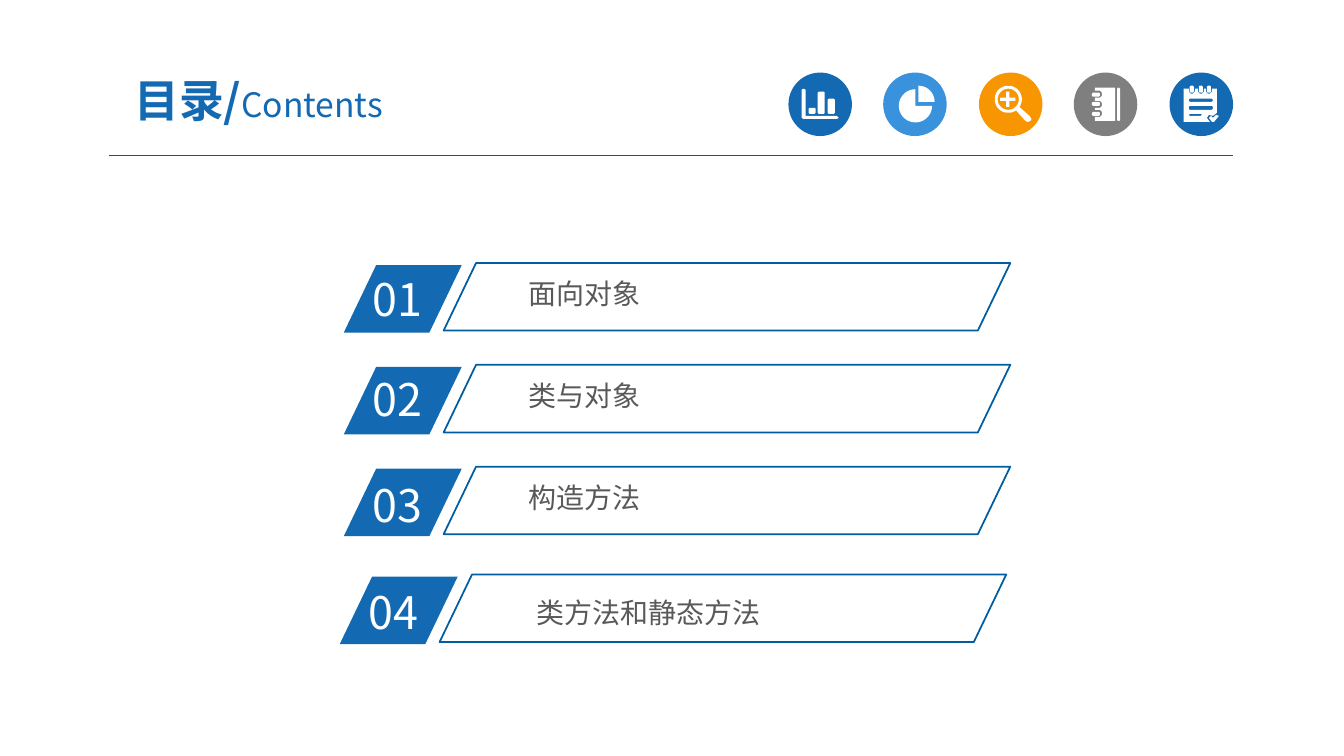
from math import cos, radians, sin

from lxml.etree import SubElement
from pptx import Presentation
from pptx.dml.color import RGBColor
from pptx.enum.shapes import MSO_CONNECTOR as Wire, MSO_SHAPE as Form
from pptx.enum.text import MSO_ANCHOR as Anchor, MSO_AUTO_SIZE as Fit, PP_ALIGN as Align
from pptx.oxml.ns import qn
from pptx.util import Pt

PX = 9144  # 100 px to the inch
FINE = 10  # outline steps in one px
FONT = "Noto Sans CJK SC"
HUES = {"blue": "1369B2", "sky": "3992DB", "gold": "F79600", "grey": "7F7F7F",
        "white": "FFFFFF", "rule": "005B9E", "edge": "005DA2", "text": "595959"}
SLANT = 0.48


def hue(name):
    return RGBColor.from_string(HUES[name])


def arc(x, y, r, start, end):
    """Points round a centre, in degrees clockwise from the right."""
    return [(x + r * cos(radians(a)), y + r * sin(radians(a)))
            for a in range(start, end + 1, 10)]


def bar(x, y, w, h):
    """Outline of a bar with its corners cut by one px."""
    r, b = x + w, y + h
    return [(x + 1, y), (r - 1, y), (r, y + 1), (r, b - 1),
            (r - 1, b), (x + 1, b), (x, b - 1), (x, y + 1)]


def chart():
    axes = [(795, 89), (797, 88), (799, 89), (799, 115), (830, 115),
            (832, 117), (830, 118), (797, 118), (795, 117)]
    return [axes, bar(802, 107, 7, 6), bar(811, 91, 7, 22), bar(821, 98, 7, 15)]


def pie():
    return [[(911, 101)] + arc(911, 101, 16, 270, 360),
            [(908, 105)] + arc(908, 105, 16.5, 0, 270)]


def lens():
    rim = arc(1000, 98.5, 13.5, 55, 395)
    grip = [(1021, 115), (1023, 118), (1022, 120), (1019, 121), (1017, 120)]
    plus = [(998, 91), (1001, 91), (1001, 97), (1007, 97), (1007, 100), (1001, 100),
            (1001, 106), (998, 106), (998, 100), (992, 100), (992, 97), (998, 97)]
    return [rim + grip, arc(1000, 98.5, 10.5, 0, 350), plus]


def book():
    page = [(1086, 87), (1106, 87), (1106, 120), (1086, 120)]
    for y in (109, 100, 90):
        page += [(1086, y + 7), (1091, y + 7), (1093, y + 5),
                 (1093, y + 2), (1091, y), (1086, y)]
    return [page, bar(1108, 87, 3, 33)] + [bar(1083, y, 8, 4) for y in (92, 101, 111)]


def notes():
    pins = (1180, 1189, 1197)
    page = [(1174, 88)]
    for x in pins:
        page += [(x - 1, 88), (x - 1, 91), (x + 1, 93), (x + 3, 93), (x + 5, 91), (x + 5, 88)]
    page += [(1207, 88), (1207, 112), (1203, 115), (1199, 114),
             (1197, 117), (1200, 121), (1174, 121)]
    lines = [bar(1179, 98, 24, 3), bar(1179, 105, 24, 4), bar(1179, 113, 13, 2)]
    tick = [(1199, 117), (1201, 115), (1203, 117), (1206, 114),
            (1209, 115), (1204, 121), (1202, 121)]
    return [page, tick] + lines + [bar(x, 85, 4, 7) for x in pins]


class Deck:
    def __init__(self, wide, high):
        self.prs = Presentation()
        self.prs.slide_width, self.prs.slide_height = wide * PX, high * PX
        self.slide = self.prs.slides.add_slide(self.prs.slide_layouts[5])
        self.shapes = self.slide.shapes

    def paint(self, shape, fill=None, edge=None):
        shape.shadow.inherit = False
        if fill:
            shape.fill.solid()
            shape.fill.fore_color.rgb = hue(fill)
        else:
            shape.fill.background()
        if edge:
            shape.line.color.rgb = hue(edge)
            shape.line.width = Pt(1.25)
        else:
            shape.line.fill.background()

    def form(self, kind, box, fill=None, edge=None, adj=()):
        shape = self.shapes.add_shape(kind, *[n * PX for n in box])
        for i, value in enumerate(adj):
            shape.adjustments[i] = value
        self.paint(shape, fill, edge)

    def glyph(self, loops, fill):
        """Draw closed outlines as one shape; inner ones become holes."""
        loops = [[(x * FINE, y * FINE) for x, y in loop] for loop in loops]
        pen = self.shapes.build_freeform(*loops[0][0], scale=PX / FINE)
        for i, loop in enumerate(loops):
            if i:
                pen.move_to(*loop[0])
            pen.add_line_segments(loop[1:], close=True)
        self.paint(pen.convert_to_shape(), fill)

    def rule(self, x1, y1, x2, y2):
        line = self.shapes.add_connector(Wire.STRAIGHT, *[n * PX for n in (x1, y1, x2, y2)])
        line.line.color.rgb = hue("rule")
        line.line.width = Pt(0.75)
        SubElement(line._element.spPr, qn("a:effectLst"))

    def style(self, run, size, color, bold=False):
        font = run.font
        font.name, font.size, font.bold = FONT, Pt(size), bold
        font.color.rgb = hue(color)
        SubElement(run._r.get_or_add_rPr(), qn("a:ea"), typeface=FONT)

    def title(self, box, parts):
        shape = self.shapes.title
        shape.left, shape.top, shape.width, shape.height = [n * PX for n in box]
        frame = shape.text_frame
        frame.auto_size, frame.vertical_anchor = Fit.NONE, Anchor.MIDDLE
        frame.margin_left = frame.margin_right = 13 * PX
        frame.margin_top = frame.margin_bottom = 7 * PX
        para = frame.paragraphs[0]
        para.alignment = Align.CENTER
        for words, size, bold in parts:
            run = para.add_run()
            run.text = words
            self.style(run, size, "blue", bold)

    def text(self, box, words, size, color, pad):
        frame = self.shapes.add_textbox(*[n * PX for n in box]).text_frame
        frame.word_wrap = True
        frame.margin_left = frame.margin_right = pad[0] * PX
        frame.margin_top = frame.margin_bottom = pad[1] * PX
        frame.text = words
        self.style(frame.paragraphs[0].runs[0], size, color)

    def entry(self, num, words, x, y, drop, label):
        """Draw one row; drop and label place its two texts from the tag's corner."""
        self.form(Form.PARALLELOGRAM, (x, y, 117, 67), "blue", adj=[SLANT])
        self.text((x + 19, y + drop, 112, 64), f"{num:02}", 32, "white", (10, 5))
        self.text((x + label[0], y + label[1], 412, 41), words, 20, "text", (7, 4))
        self.form(Form.PARALLELOGRAM, (x + 99, y - 2, 562, 67), edge="edge", adj=[SLANT])


ICONS = [("blue", chart), ("sky", pie), ("gold", lens), ("grey", book), ("blue", notes)]
ROWS = [("面向对象", 341, 263, 2, (176, 7)),
        ("类与对象", 341, 364, 0, (176, 7)),
        ("构造方法", 341, 465, 4, (176, 8)),
        ("类方法和静态方法", 337, 572, 3, (188, 15))]


def main():
    deck = Deck(1333, 750)
    deck.rule(108, 154, 1223, 154)
    for i, (color, draw) in enumerate(ICONS):
        deck.form(Form.OVAL, (782 + 189 * i // 2, 72, 63, 63), color)
        deck.glyph(draw(), "white")
    deck.title((92, 63, 329, 72), [("目录/", 32, True), ("Contents", 24, False)])
    for num, row in enumerate(ROWS, 1):
        deck.entry(num, *row)
    deck.prs.save("out.pptx")


if __name__ == "__main__":
    main()
